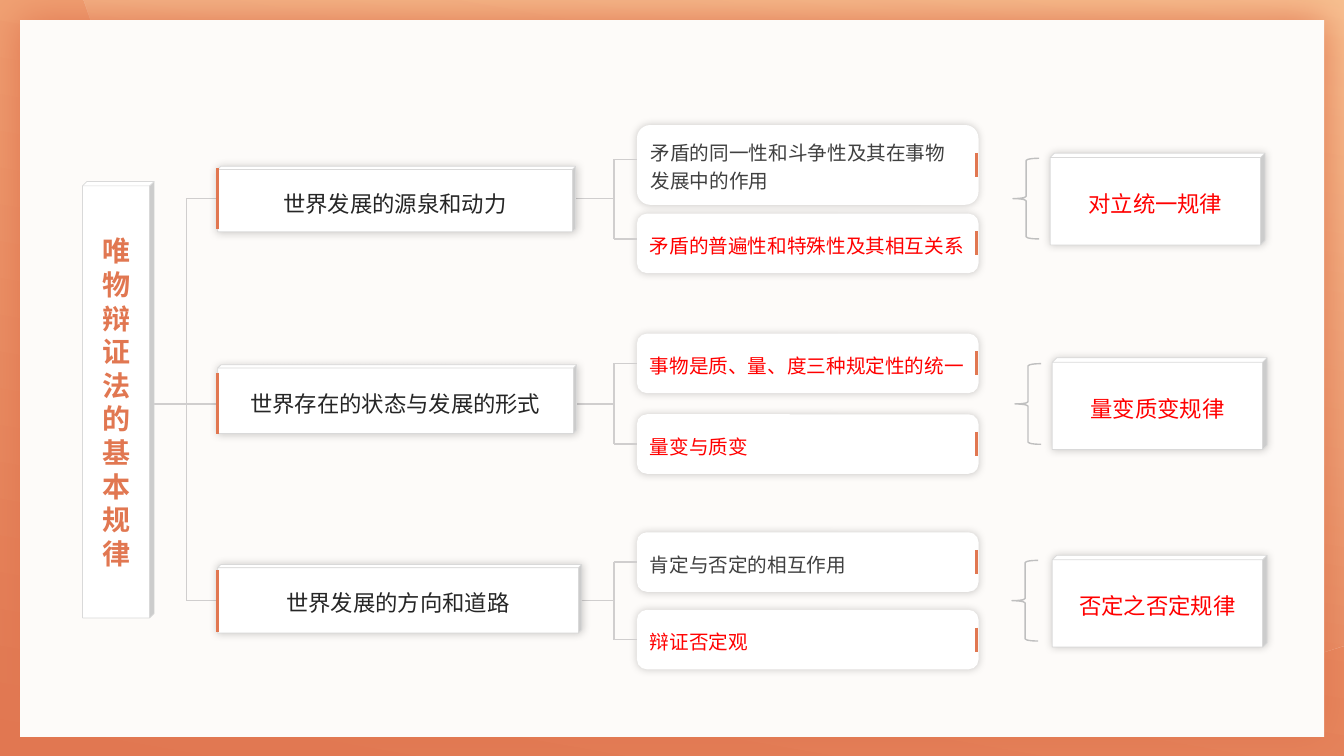
import pptx
import pptx.util
import pptx.dml.color
import pptx.enum.shapes
import pptx.enum.text
import pptx.oxml
import pptx.oxml.ns

Pt = pptx.util.Pt
RGB = pptx.dml.color.RGBColor.from_string
KIND = pptx.enum.shapes.MSO_SHAPE
ALIGN = pptx.enum.text.PP_ALIGN
FONT = "Noto Sans CJK SC"
COLORS = {
    "orange": "E17751", "peach": "F4AD7D", "sand": "FDD5A6", "paper": "FDFBF9",
    "white": "FFFFFF", "edge": "D9D9D9", "link": "D0CECE", "brace": "BFBFBF",
    "red": "FF0000", "ink": "262626", "gray": "404040", "black": "000000",
}


def box(kind, x, y, w, h, fill="white", edge=None, fold=None, shade=None,
        lines=(), size=14, color="red", align=ALIGN.CENTER, bold=False):
    """Add a shape; shade is (colour, alpha %, blur in points)."""
    shape = slide.shapes.add_shape(kind, Pt(x), Pt(y), Pt(w), Pt(h))
    shape.shadow.inherit = False
    if fill:
        shape.fill.solid()
        shape.fill.fore_color.rgb = RGB(COLORS[fill])
    else:
        shape.fill.background()
    if edge:
        shape.line.color.rgb = RGB(COLORS[edge])
        shape.line.width = Pt(1 if edge == "brace" else 0.5)
    else:
        shape.line.fill.background()
    if fold:
        shape.adjustments[0] = fold
    if shade:
        tone, alpha, blur = shade
        shape._element.spPr.find(pptx.oxml.ns.qn("a:effectLst")).append(pptx.oxml.parse_xml(
            f'<a:outerShdw {pptx.oxml.ns.nsdecls("a")} blurRad="{Pt(blur)}" dist="0" '
            f'dir="18900000" algn="ctr" rotWithShape="0"><a:srgbClr val="{COLORS[tone]}">'
            f'<a:alpha val="{alpha * 1000}"/></a:srgbClr></a:outerShdw>'))
    frame = shape.text_frame
    frame.word_wrap = True
    frame.vertical_anchor = pptx.enum.text.MSO_ANCHOR.MIDDLE
    for i, text in enumerate(lines):
        para = frame.paragraphs[0] if i == 0 else frame.add_paragraph()
        para.alignment = align
        para.line_spacing = Pt(size * (1.2 if bold else 1.43))
        run = para.add_run()
        run.text = text
        run.font.name = FONT
        run.font.size = Pt(size)
        run.font.bold = bold
        run.font.color.rgb = RGB(COLORS[color])
        run._r.get_or_add_rPr().append(pptx.oxml.parse_xml(
            f'<a:ea {pptx.oxml.ns.nsdecls("a")} typeface="{FONT}"/>'))
    return shape


def link(x1, y1, x2, y2, color="link", width=1):
    line = slide.shapes.add_connector(
        pptx.enum.shapes.MSO_CONNECTOR.STRAIGHT, Pt(x1), Pt(y1), Pt(x2), Pt(y2))
    line.line.color.rgb = RGB(COLORS[color])
    line.line.width = Pt(width)
    line._element.spPr.append(pptx.oxml.parse_xml(
        f'<a:effectLst {pptx.oxml.ns.nsdecls("a")}/>'))
    return line


deck = pptx.Presentation()
deck.slide_width, deck.slide_height = Pt(960), Pt(540)
slide = deck.slides.add_slide(deck.slide_layouts[6])

# Backdrop: gradient, curved glow and paper panel
back = box(KIND.RECTANGLE, 0, 0, 960, 540)
curves = [
    [(946.8, 465.1), (879.8, 486), (809.3, 496.8), (735.8, 496.8)],
    [(735.8, 496.8), (429.8, 496.8), (169.9, 303.1), (70.6, 31.7)],
]
points = [(960, 0), (960, 460.8), curves[0][0]]
for a, b, c, d in curves:
    for step in range(1, 21):
        t = step / 20
        u = 1 - t
        points.append(tuple(u**3 * a[i] + 3 * u * u * t * b[i] + 3 * u * t * t * c[i]
                            + t**3 * d[i] for i in (0, 1)))
path = slide.shapes.build_freeform(59.8, 0, scale=Pt(1))
path.add_line_segments(points, close=True)
glow = path.convert_to_shape()
glow.shadow.inherit = False
glow.line.fill.background()
for shape, tone in ((back, "peach"), (glow, "sand")):
    shape.fill.gradient()
    shape.fill.gradient_angle = 80
    for stop, name in zip(shape.fill.gradient_stops, ("orange", tone)):
        stop.color.rgb = RGB(COLORS[name])
fade = glow._element.spPr.findall(".//" + pptx.oxml.ns.qn("a:srgbClr"))[-1]
fade.append(pptx.oxml.parse_xml(f'<a:alpha {pptx.oxml.ns.nsdecls("a")} val="50000"/>'))
box(KIND.RECTANGLE, 14.4, 14.4, 931.5, 512, "paper", shade=("orange", 100, 30))

# Root topic and its trunk
SOFT = ("black", 20, 6)
MIDS = (141.9, 288.6, 429.1)
STEM, FORK, PILL, TOPIC = 133.2, 438.5, 455, 155.5
link(STEM, MIDS[0], STEM, MIDS[2])
link(103.7, MIDS[1], STEM, MIDS[1])
for mid in MIDS:
    link(STEM, mid, TOPIC, mid)
box(KIND.CUBE, 59, 129.6, 51.1, 311.8, edge="edge", fold=0.063,
    lines="唯物辩证法的基本规律", size=20, color="orange", bold=True)

# Each row: topic (text, top, width, height, bar top), law (text, left, top),
# brace left, pills (lines, top, height, stub height, colour)
rows = [
    (("世界发展的源泉和动力", 118.8, 255.6, 46.8, 120.2),
     ("对立统一规律", 750.2, 109.4), 723.6,
     [(["矛盾的同一性和斗争性及其在事物", "发展中的作用"], 89.3, 57, 113.8, "gray"),
      (["矛盾的普遍性和特殊性及其相互关系"], 152.6, 42.5, 170.6, "red")]),
    (("世界存在的状态与发展的形式", 260.6, 256.3, 49, 266.4),
     ("量变质变规律", 751.7, 255.6), 725,
     [(["事物是质、量、度三种规定性的统一"], 238.3, 42.5, 259.55, "red"),
      (["量变与质变"], 295.9, 42.5, 317.15, "red")]),
    (("世界发展的方向和道路", 403.2, 260, 49, 407.5),
     ("否定之否定规律", 751.7, 396.7), 722.9,
     [(["肯定与否定的相互作用"], 380.2, 42.5, 401.45, "gray"),
      (["辩证否定观"], 435.6, 42.5, 456.85, "red")]),
]
for mid, (topic, law, brace, pills) in zip(MIDS, rows):
    text, top, width, high, bar = topic
    link(375, mid, FORK, mid)
    box(KIND.CUBE, TOPIC, top, width, high, edge="edge", fold=0.048, shade=SOFT,
        lines=[text], size=16, color="ink")
    link(TOPIC, bar, TOPIC, bar + 43.7, "orange", 2)

    link(FORK, pills[0][3], FORK, pills[1][3])
    for lines, top, high, stub, color in pills:
        pill = box(KIND.ROUNDED_RECTANGLE, PILL, top, 244, high, shade=SOFT,
                   lines=lines, color=color, align=ALIGN.LEFT)
        center = top + high / 2
        line = link(FORK, stub, PILL, stub)
        if abs(stub - center) < 1:
            line.end_connect(pill, 1)
        link(697.7, center - 8.6, 697.7, center + 8.6, "orange", 2)

    box(KIND.LEFT_BRACE, brace, mid - 28.8, 18.7, 57.6, None, "brace")
    text, left, top = law
    box(KIND.CUBE, left, top, 153.4, 65.5, edge="edge", fold=0.048, shade=SOFT,
        lines=[text], size=16)

deck.save("out.pptx")
